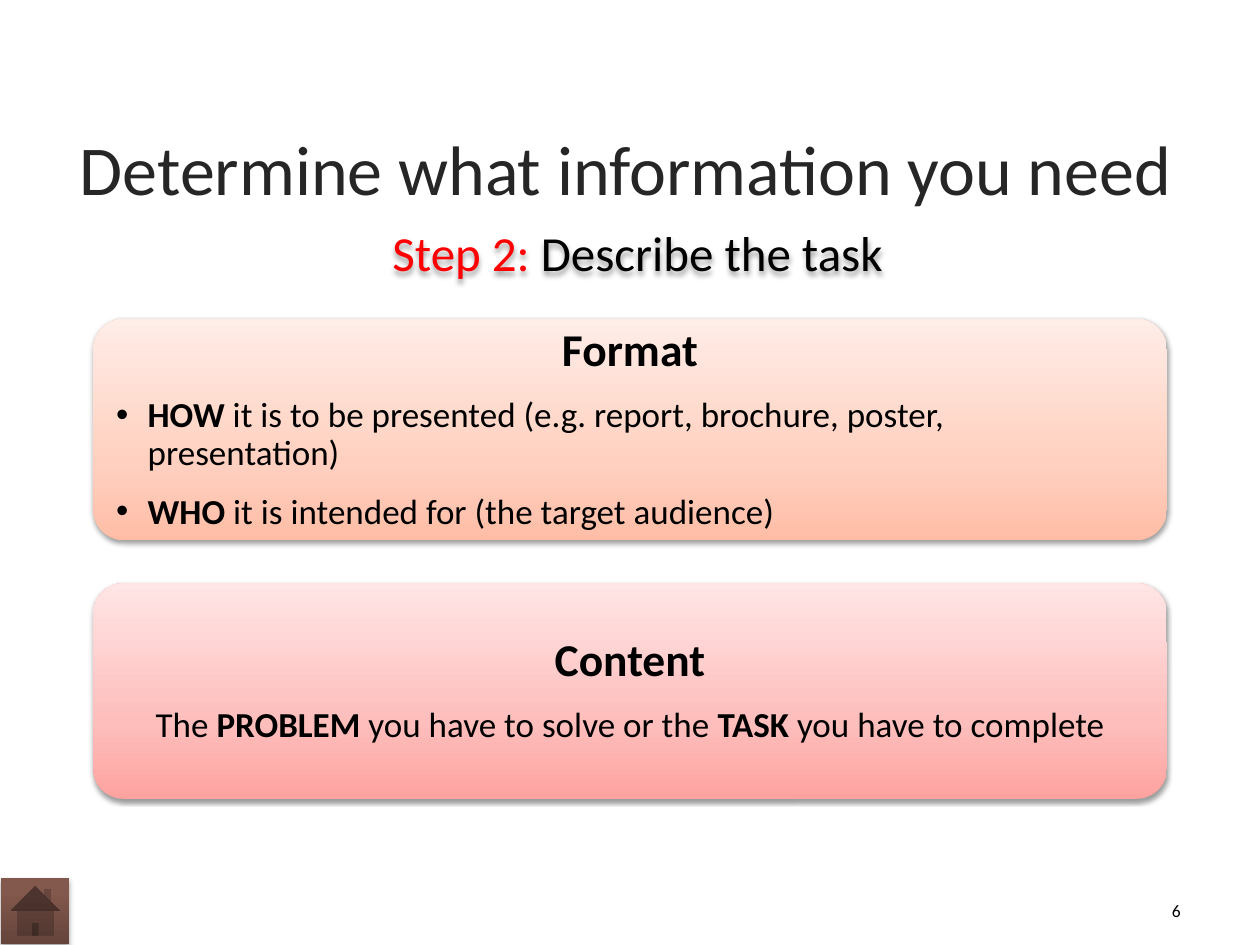
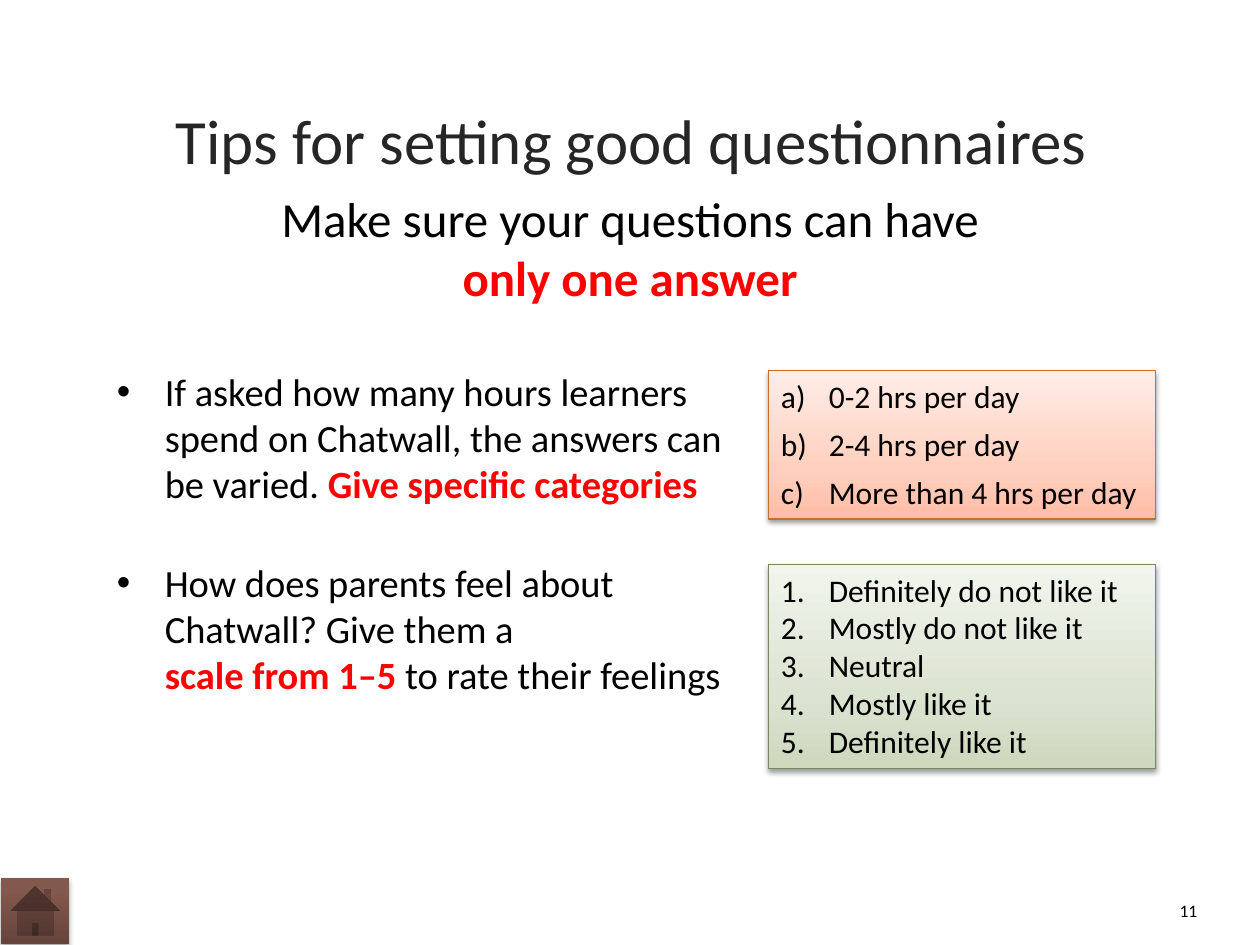
from lxml.etree import SubElement
from pptx import Presentation
from pptx.dml.color import RGBColor
from pptx.enum.shapes import MSO_SHAPE
from pptx.enum.text import MSO_ANCHOR, PP_ALIGN
from pptx.oxml.ns import qn
from pptx.util import Inches, Pt

# Shared look
FONT = "Calibri"
BLACK, RED, TITLE_COLOR = "000000", "FF0000", "262626"
# Gradient stops run from the bottom edge to the top edge
ORANGE = [(0, "FFBDA6"), (35, "FFD0C0"), (100, "FFEDE7")]
PINK = [(0, "FEA29F"), (35, "FDBEBC"), (100, "FFE5E5")]
GREEN = [(0, "CDD8BD"), (35, "DBE3D1"), (100, "F1F5ED")]
BROWN = [(0, "65443B"), (80, "83584D"), (100, "85584C")]
LETTERS = ("buAutoNum", {"type": "alphaLcParenR"})
NUMBERS = ("buAutoNum", {"type": "arabicPeriod"})
DOT = ("buChar", {"char": "•"})

# Content: a paragraph is a list of (text, color, bold) runs
TASK_TITLE = "Determine what information you need"
TASK_STEP = [("Step 2:", RED, False), (" Describe the task", BLACK, False)]
FORMAT_HEADING = "Format"
FORMAT_POINTS = [
    [("HOW", BLACK, True),
     (" it is to be presented (e.g. report, brochure, poster, presentation)", BLACK, False)],
    [("WHO", BLACK, True), (" it is intended for (the target audience)", BLACK, False)],
]
CONTENT_HEADING = "Content"
CONTENT_POINT = [
    ("The ", BLACK, False), ("PROBLEM", BLACK, True),
    (" you have to solve or the ", BLACK, False), ("TASK", BLACK, True),
    (" you have to complete", BLACK, False),
]

TIPS_TITLE = "Tips for setting good questionnaires"
TIPS_RULE = [("Make sure your questions can have\n", BLACK, False),
             ("only one answer", RED, True)]
TIPS = [
    [("If asked how many hours learners spend on Chatwall, the answers can be varied. ",
      BLACK, False), ("Give specific categories", RED, True)],
    [("How does parents feel about Chatwall? Give them a\n", BLACK, False),
     ("scale from 1–5 ", RED, True), ("to rate their feelings", BLACK, False)],
]
HOURS = ["0-2 hrs per day", "2-4 hrs per day", "More than 4 hrs per day"]
FEELINGS = ["Definitely do not like it", "Mostly do not like it", "Neutral",
            "Mostly like it", "Definitely like it"]


def rgb(color):
    return RGBColor.from_string(color)


def add_shadow(shape, opacity=38, distance=1.6):
    shape.shadow.inherit = False
    effects = shape._element.spPr.find(qn("a:effectLst"))
    outer = SubElement(effects, qn("a:outerShdw"), blurRad=str(Pt(3.1)),
                       dist=str(Pt(distance)), dir="5400000", rotWithShape="0")
    shade = SubElement(outer, qn("a:srgbClr"), val=BLACK)
    SubElement(shade, qn("a:alpha"), val=str(opacity * 1000))


def add_panel(page, kind, place, stops, line=None, opacity=38, distance=1.6):
    panel = page.shapes.add_shape(kind, *map(Inches, place))
    panel.fill.gradient()
    panel.fill.gradient_angle = 90
    stop_list = panel._element.spPr.find(qn("a:gradFill")).find(qn("a:gsLst"))
    for stop in list(stop_list):
        stop_list.remove(stop)
    for position, color in stops:
        stop = SubElement(stop_list, qn("a:gs"), pos=str(position * 1000))
        SubElement(stop, qn("a:srgbClr"), val=color)
    if line:
        panel.line.color.rgb = rgb(line)
        panel.line.width = Pt(0.75)
    else:
        panel.line.fill.background()
    add_shadow(panel, opacity, distance)
    return panel


def add_box(page, place):
    return page.shapes.add_textbox(*map(Inches, place))


def prepare(shape, anchor=MSO_ANCHOR.TOP):
    frame = shape.text_frame
    frame.word_wrap = True
    frame.vertical_anchor = anchor
    return frame


def write(frame, runs, size, align=PP_ALIGN.LEFT, bullet=None, indent=0.38,
          after=0, spacing=None, color=BLACK, bold=False):
    """Fill the next paragraph of the frame; plain text counts as one run."""
    first = frame.paragraphs[0]
    para = frame.add_paragraph() if first.runs else first
    para.alignment = align
    para.space_after = Pt(after)
    if spacing:
        para.line_spacing = spacing
    if bullet:
        properties = para._p.get_or_add_pPr()
        properties.set("marL", str(Inches(indent)))
        properties.set("indent", str(-Inches(indent)))
        tag, attributes = bullet
        SubElement(properties, qn("a:buFont"), typeface="Arial" if bullet == DOT else FONT)
        SubElement(properties, qn(f"a:{tag}"), attributes)
    para.font.name = FONT
    para.font.size = Pt(size)
    if isinstance(runs, str):
        runs = [(runs, color, bold)]
    for text, run_color, run_bold in runs:
        span = para.add_run()
        span.text = text.rstrip("\n")
        span.font.color.rgb = rgb(run_color)
        span.font.bold = run_bold
        if text.endswith("\n"):
            para.add_line_break()


def add_title(page, text, size, place, anchor=MSO_ANCHOR.MIDDLE):
    frame = prepare(add_box(page, place), anchor)
    write(frame, text, size, PP_ALIGN.CENTER, color=TITLE_COLOR)
    return frame


def add_footer(page, number, left):
    frame = prepare(add_box(page, (left, 7.07, 0.43, 0.31)), MSO_ANCHOR.MIDDLE)
    write(frame, number, 10, PP_ALIGN.RIGHT)
    add_panel(page, MSO_SHAPE.ACTION_BUTTON_HOME, (0.01, 6.97, 0.54, 0.52),
              BROWN, opacity=35, distance=1.8)


def add_card(page, top, height, stops, heading):
    card = add_panel(page, MSO_SHAPE.ROUNDED_RECTANGLE, (0.74, top, 8.52, height), stops)
    card.adjustments[0] = 0.14
    frame = prepare(card, MSO_ANCHOR.MIDDLE)
    # The rounded corners already push the text in by 0.07
    frame.margin_left = frame.margin_right = Inches(0.11)
    frame.margin_top = frame.margin_bottom = Inches(0.11)
    write(frame, heading, 26, PP_ALIGN.CENTER, after=12, spacing=0.9, bold=True)
    return frame


def add_answers(page, top, height, stops, line, answers, bullet, gap=0):
    panel = add_panel(page, MSO_SHAPE.RECTANGLE, (6.1, top, 3.07, height), stops, line)
    frame = prepare(panel)
    for answer in answers:
        after = 0 if answer == answers[-1] else gap
        write(frame, answer, 18, bullet=bullet, after=after)


def build_task(page):
    frame = add_card(page, 2.53, 1.76, ORANGE, FORMAT_HEADING)
    for point in FORMAT_POINTS:
        write(frame, point, 20, bullet=DOT, indent=0.25, after=12, spacing=0.9)
    frame = add_card(page, 4.63, 1.71, PINK, CONTENT_HEADING)
    write(frame, CONTENT_POINT, 20, PP_ALIGN.CENTER, after=7, spacing=0.9)

    add_title(page, TASK_TITLE, 40, (0.49, 0.9, 8.95, 0.86))
    step = add_box(page, (1.96, 1.72, 6.2, 0.57))
    add_shadow(step)
    write(prepare(step), TASK_STEP, 28, PP_ALIGN.CENTER)
    add_footer(page, "6", 9.04)


def build_tips(page):
    frame = prepare(add_box(page, (0.83, 2.87, 5.2, 2.74)))
    for tip, after in zip(TIPS, (30, 0)):
        write(frame, tip, 22, bullet=DOT, after=after)
    add_answers(page, 2.94, 1.18, ORANGE, "CB6D28", HOURS, LETTERS, gap=6)
    add_answers(page, 4.48, 1.62, GREEN, "798661", FEELINGS, NUMBERS)

    title = add_title(page, TIPS_TITLE, 36, (1.29, 0.7, 7.44, 1.43), MSO_ANCHOR.TOP)
    title.margin_top = Inches(0.11)
    rule = prepare(add_box(page, (1.57, 1.45, 6.86, 1.35)))
    write(rule, TIPS_RULE, 28, PP_ALIGN.CENTER)
    add_footer(page, "11", 9.17)


def main():
    deck = Presentation()
    deck.slide_width, deck.slide_height = Inches(10), Inches(7.5)
    for build in (build_task, build_tips):
        build(deck.slides.add_slide(deck.slide_layouts[6]))
    deck.save("out.pptx")


if __name__ == "__main__":
    main()
